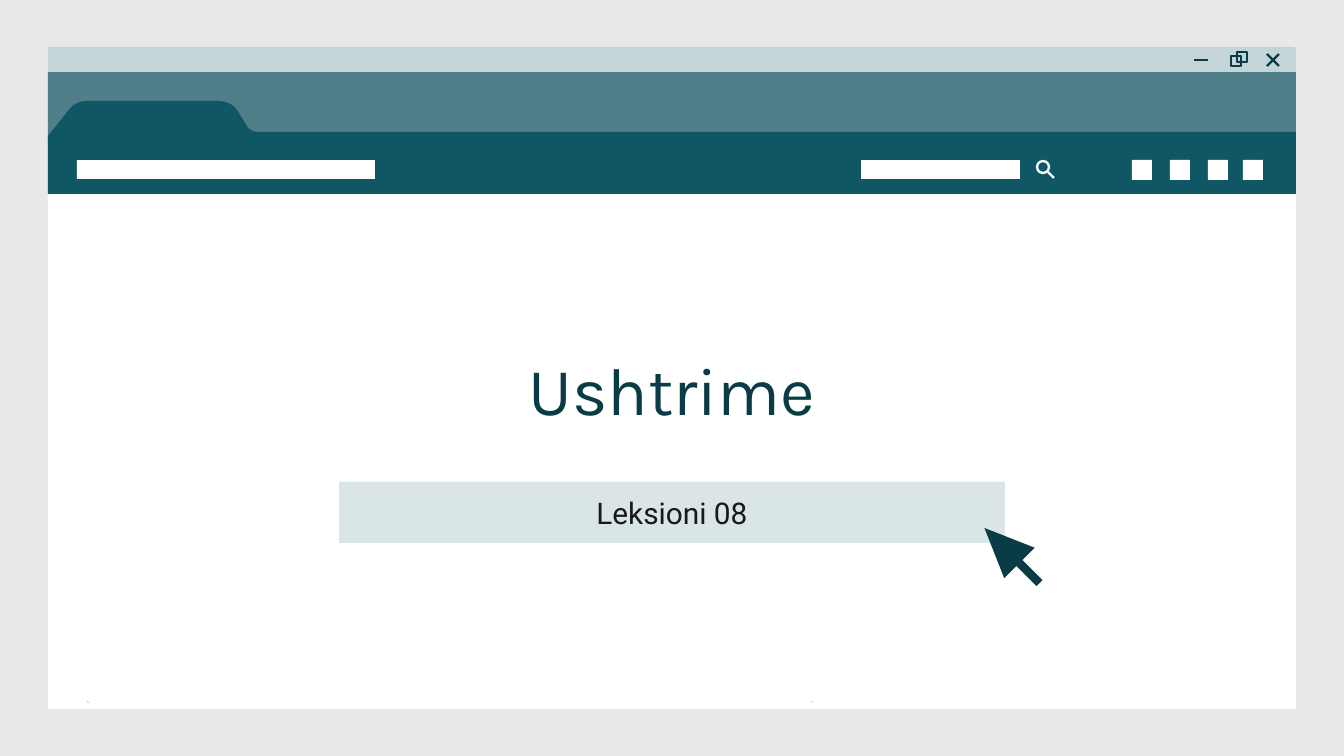
from lxml.etree import SubElement
from pptx import Presentation
from pptx.dml.color import RGBColor
from pptx.enum.shapes import MSO_CONNECTOR, MSO_SHAPE
from pptx.enum.text import MSO_ANCHOR, MSO_AUTO_SIZE, PP_ALIGN
from pptx.oxml.ns import qn
from pptx.util import Inches, Pt

PX = Inches(10) / 1344

BACKDROP = RGBColor(0xE8, 0xE8, 0xE7)
PALE = RGBColor(0xC3, 0xD5, 0xD9)
MID = RGBColor(0x50, 0x7F, 0x89)
TEAL = RGBColor(0x0F, 0x57, 0x65)
DARK = RGBColor(0x0A, 0x3C, 0x46)
BUTTON = RGBColor(0xD9, 0xE5, 0xE7)
SKY = RGBColor(0xCA, 0xE8, 0xF8)
INK = RGBColor(0x19, 0x19, 0x19)
WHITE = RGBColor(0xFF, 0xFF, 0xFF)


def px(n):
    return round(n * PX)


def curve(*ctrl, steps=8):
    """Points along the cubic Bezier curve with four control points."""
    weights = [((1 - t) ** 3, 3 * t * (1 - t) ** 2, 3 * t * t * (1 - t), t ** 3)
               for t in (i / steps for i in range(steps + 1))]
    return [tuple(sum(w * c[axis] for w, c in zip(ws, ctrl)) for axis in (0, 1))
            for ws in weights]


class Canvas:
    def __init__(self, slide):
        self.slide = slide
        self.shapes = slide.shapes

    def background(self, color):
        fill = self.slide.background.fill
        fill.solid()
        fill.fore_color.rgb = color

    def paint(self, sp, fill, line=None, width=0.75):
        sp.shadow.inherit = False
        if fill is None:
            sp.fill.background()
        else:
            sp.fill.solid()
            sp.fill.fore_color.rgb = fill
        if line is None:
            sp.line.fill.background()
        else:
            sp.line.color.rgb = line
            sp.line.width = Pt(width)
        return sp

    def shape(self, x, y, w, h, fill=None, line=None, width=0.75,
              kind=MSO_SHAPE.RECTANGLE):
        sp = self.shapes.add_shape(kind, px(x), px(y), px(w), px(h))
        return self.paint(sp, fill, line, width)

    def outline(self, points, fill):
        first, *rest = [(px(x), px(y)) for x, y in points]
        builder = self.shapes.build_freeform(*first)
        builder.add_line_segments(rest)
        return self.paint(builder.convert_to_shape(), fill)

    def line(self, x1, y1, x2, y2, color, width):
        cxn = self.shapes.add_connector(
            MSO_CONNECTOR.STRAIGHT, px(x1), px(y1), px(x2), px(y2))
        cxn.line.color.rgb = color
        cxn.line.width = Pt(width)
        SubElement(cxn._element.spPr, qn("a:effectLst"))

    def placeholder(self, idx, x, y, w, h, text, font, size, color, fill=None):
        """Fill a placeholder and bring it to the front."""
        sp = self.slide.placeholders[idx]
        sp.left, sp.top, sp.width, sp.height = px(x), px(y), px(w), px(h)
        if fill is not None:
            sp.fill.solid()
            sp.fill.fore_color.rgb = fill
        tf = sp.text_frame
        tf.auto_size = MSO_AUTO_SIZE.NONE
        tf.vertical_anchor = MSO_ANCHOR.MIDDLE
        tf.margin_left = tf.margin_right = Inches(0.1)
        tf.margin_top = tf.margin_bottom = Inches(0.1)
        tf.text = text
        p = tf.paragraphs[0]
        p.alignment = PP_ALIGN.CENTER
        p.space_before = Pt(0)
        p.font.name, p.font.size, p.font.color.rgb = font, Pt(size), color
        self.shapes._spTree.append(sp._element)


def draw_window(c):
    left, width = 48, 1248
    right = left + width
    title_bar = c.shape(left, 47, width, 25, PALE, kind=MSO_SHAPE.ROUND_2_SAME_RECTANGLE)
    title_bar.adjustments[0] = 0.1
    c.shape(left, 72, width, 70, MID)
    c.shape(left, 194, width, 515, WHITE)
    c.outline([
        (left, 194), (left, 136),
        *curve((68, 111), (72, 105), (79, 101), (87, 101)),
        *curve((218, 101), (227, 101), (235, 105), (239, 113)),
        *curve((247, 126), (249, 130), (254, 132), (258, 132)),
        (right, 132), (right, 194),
    ], TEAL)


def draw_window_buttons(c):
    c.line(1194, 60, 1208, 60, DARK, 1)
    for x, y in ((1231, 56), (1237, 52)):
        c.shape(x, y, 10, 10, line=DARK)
    c.line(1267, 54, 1279, 66, DARK, 1.25)
    c.line(1267, 66, 1279, 54, DARK, 1.25)


def draw_toolbar(c):
    for x, w in ((77, 298), (861, 159)):
        c.shape(x, 160, w, 19, WHITE)
    for x in (1132, 1170, 1208, 1243):
        c.shape(x, 160, 20, 20, WHITE)
    c.shape(1037, 161, 12, 12, line=WHITE, width=1.25, kind=MSO_SHAPE.OVAL)
    c.line(1048, 172, 1054, 178, WHITE, 1.25)


def main():
    prs = Presentation()
    prs.slide_width, prs.slide_height = px(1344), px(756)
    c = Canvas(prs.slides.add_slide(prs.slide_layouts[0]))

    c.background(BACKDROP)
    draw_window(c)
    draw_window_buttons(c)
    draw_toolbar(c)
    for corner, tip in ((87, 90), (813, 810)):
        c.outline([(corner, 700), (corner, 703), (tip, 703)], SKY)

    c.placeholder(0, 157, 331, 1030, 115, "Ushtrime", "Karla", 36, DARK)
    c.placeholder(1, 339, 482, 666, 61, "Leksioni 08", "Roboto", 16, INK, BUTTON)

    pointer = c.shape(973, 534, 78, 43, DARK, kind=MSO_SHAPE.RIGHT_ARROW)
    pointer.rotation = 225
    pointer.adjustments[0], pointer.adjustments[1] = 0.2, 1.15

    prs.save("out.pptx")


if __name__ == "__main__":
    main()
